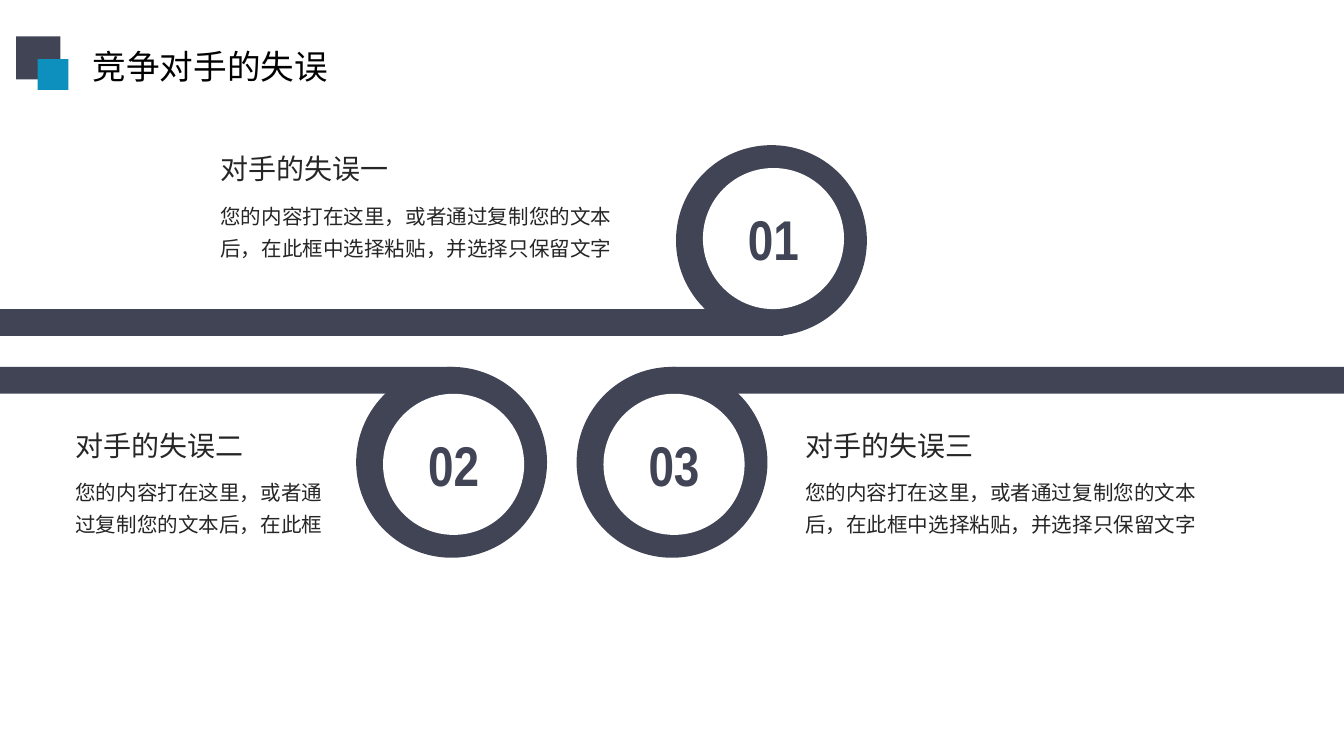
"""Build a slide with three numbered rings on bars, each beside a competitor's mistake."""
import pptx
import pptx.util
from pptx.dml.color import RGBColor
from pptx.enum.shapes import MSO_SHAPE
from pptx.enum.text import MSO_ANCHOR, MSO_AUTO_SIZE, PP_ALIGN
from pptx.oxml.ns import qn
from pptx.util import Inches

TITLE = "竞争对手的失误"
LONG_TEXT = "您的内容打在这里，或者通过复制您的文本后，在此框中选择粘贴，并选择只保留文字"
SHORT_TEXT = "您的内容打在这里，或者通过复制您的文本后，在此框"

MISTAKES = [
    {"number": "02", "heading": "对手的失误二", "body": SHORT_TEXT, "ring": (2.65, 2.73),
     "hole_top": 2.93, "bar": (0, 2.73, 3.37), "text": (0.49, 3.15, 2.08)},
    {"number": "01", "heading": "对手的失误一", "body": LONG_TEXT, "ring": (5.03, 1.08),
     "hole_top": 1.25, "bar": (0, 2.3, 5.83), "text": (1.57, 1.09, 3.17)},
    {"number": "03", "heading": "对手的失误三", "body": LONG_TEXT, "ring": (4.29, 2.73),
     "hole_top": 2.93, "bar": (5, 2.73, 5), "text": (5.92, 3.15, 3.17)},
]

THEME = {
    "dark": "414455", "accent": "0E90BE", "white": "FFFFFF", "text": "262626", "title": "000000",
    "font": "Noto Sans CJK SC", "number_font": "Arial Narrow",
    "title_size": 18, "heading_size": 15, "body_size": 11, "number_size": 30,
}
RING, HOLE, HOLE_INSET, BAR = 1.42, 1.05, 0.2, 0.2
HEADING_WIDTH, HEADING_HEIGHT, BODY_HEIGHT = 1.41, 0.33, 0.53


def add_shape(page, kind, left, top, width, height, color):
    shape = page.shapes.add_shape(kind, Inches(left), Inches(top), Inches(width), Inches(height))
    shape.shadow.inherit = False
    shape.fill.solid()
    shape.fill.fore_color.rgb = RGBColor.from_string(THEME[color])
    shape.line.fill.background()
    return shape


def set_text(frame, text, size, color, font="font", bold=False, align=PP_ALIGN.LEFT):
    para = frame.paragraphs[0]
    para.text = text
    para.alignment = align
    para.font.name = THEME[font]
    para.font.size = pptx.util.Pt(THEME[size])
    para.font.bold = bold
    para.font.color.rgb = RGBColor.from_string(THEME[color])
    latin = para._p.pPr.find(qn("a:defRPr")).find(qn("a:latin"))
    east_asian = latin.makeelement(qn("a:ea"), {"typeface": THEME[font]})
    latin.addnext(east_asian)
    return para


def set_insets(frame, side, top, bottom):
    frame.margin_left = frame.margin_right = Inches(side)
    frame.margin_top, frame.margin_bottom = Inches(top), Inches(bottom)


def add_text(page, left, top, width, height, text, size, wrap):
    box = page.shapes.add_textbox(Inches(left), Inches(top), Inches(width), Inches(height))
    frame = box.text_frame
    frame.word_wrap = wrap
    frame.auto_size = MSO_AUTO_SIZE.SHAPE_TO_FIT_TEXT
    set_insets(frame, 0.07, 0.04, 0.04)
    return set_text(frame, text, size, "text")


def add_ring(page, mistake):
    add_shape(page, MSO_SHAPE.RECTANGLE, *mistake["bar"], BAR, "dark")
    left, top = mistake["ring"]
    add_shape(page, MSO_SHAPE.OVAL, left, top, RING, RING, "dark")
    hole = add_shape(page, MSO_SHAPE.OVAL, left + HOLE_INSET, mistake["hole_top"], HOLE, HOLE, "white")
    frame = hole.text_frame
    frame.vertical_anchor = MSO_ANCHOR.MIDDLE
    set_insets(frame, 0.1, 0.04, 0.05)
    set_text(frame, mistake["number"], "number_size", "dark", "number_font", True, PP_ALIGN.CENTER)


def add_caption(page, mistake):
    left, top, width = mistake["text"]
    add_text(page, left, top, HEADING_WIDTH, HEADING_HEIGHT, mistake["heading"], "heading_size", False)
    body = add_text(page, left, top + HEADING_HEIGHT, width, BODY_HEIGHT, mistake["body"], "body_size", True)
    body.line_spacing = 1.3


def add_title(page):
    title = page.shapes.title
    title.left, title.top, title.width, title.height = map(Inches, (0.59, 0.29, 1.97, 0.4))
    frame = title.text_frame
    frame.word_wrap = False
    frame.auto_size = MSO_AUTO_SIZE.SHAPE_TO_FIT_TEXT
    frame.vertical_anchor = MSO_ANCHOR.TOP
    set_insets(frame, 0.1, 0.05, 0.05)
    set_text(frame, TITLE, "title_size", "title")
    add_shape(page, MSO_SHAPE.RECTANGLE, 0.12, 0.27, 0.33, 0.32, "dark")
    add_shape(page, MSO_SHAPE.RECTANGLE, 0.28, 0.44, 0.23, 0.23, "accent")


def main():
    deck = pptx.Presentation()
    deck.slide_width = Inches(10)
    deck.slide_height = deck.slide_width * 9 // 16
    page = deck.slides.add_slide(deck.slide_layouts[5])
    for mistake in MISTAKES:
        add_ring(page, mistake)
    for mistake in MISTAKES:
        add_caption(page, mistake)
    add_title(page)
    deck.save("out.pptx")


if __name__ == "__main__":
    main()
